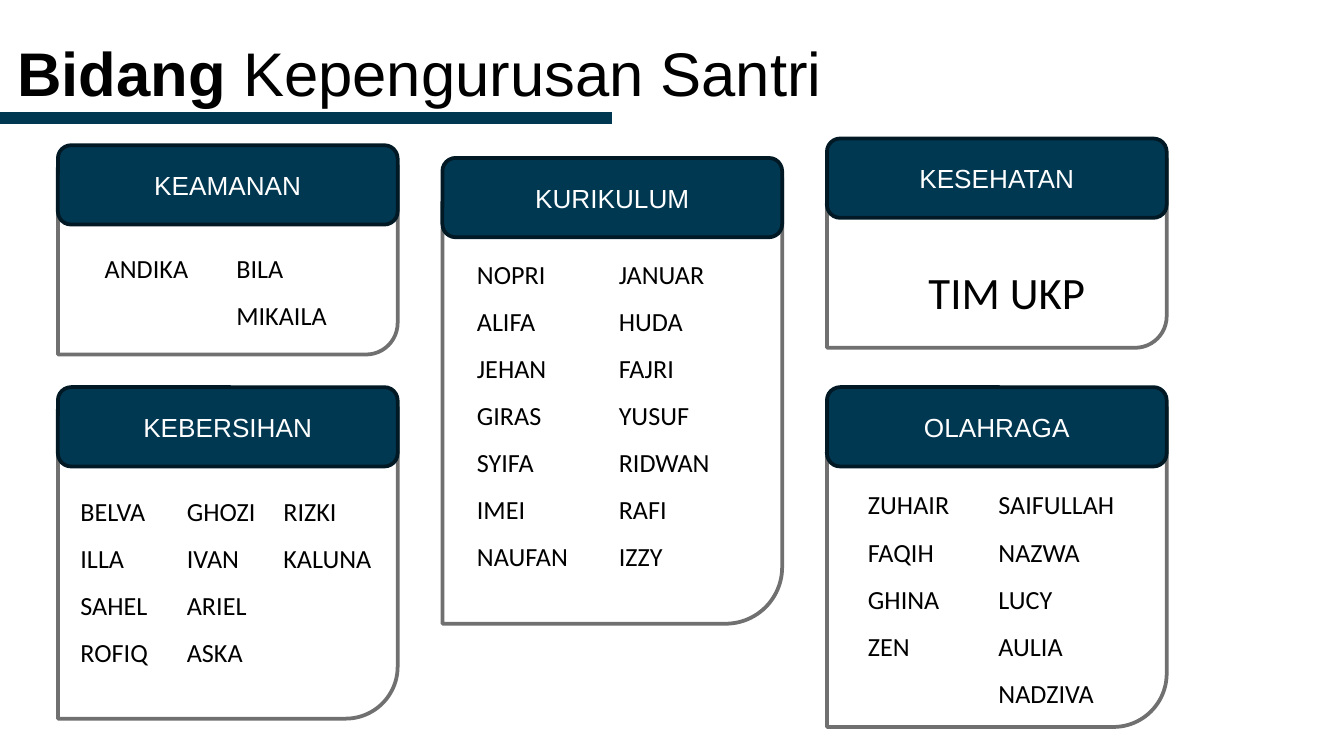
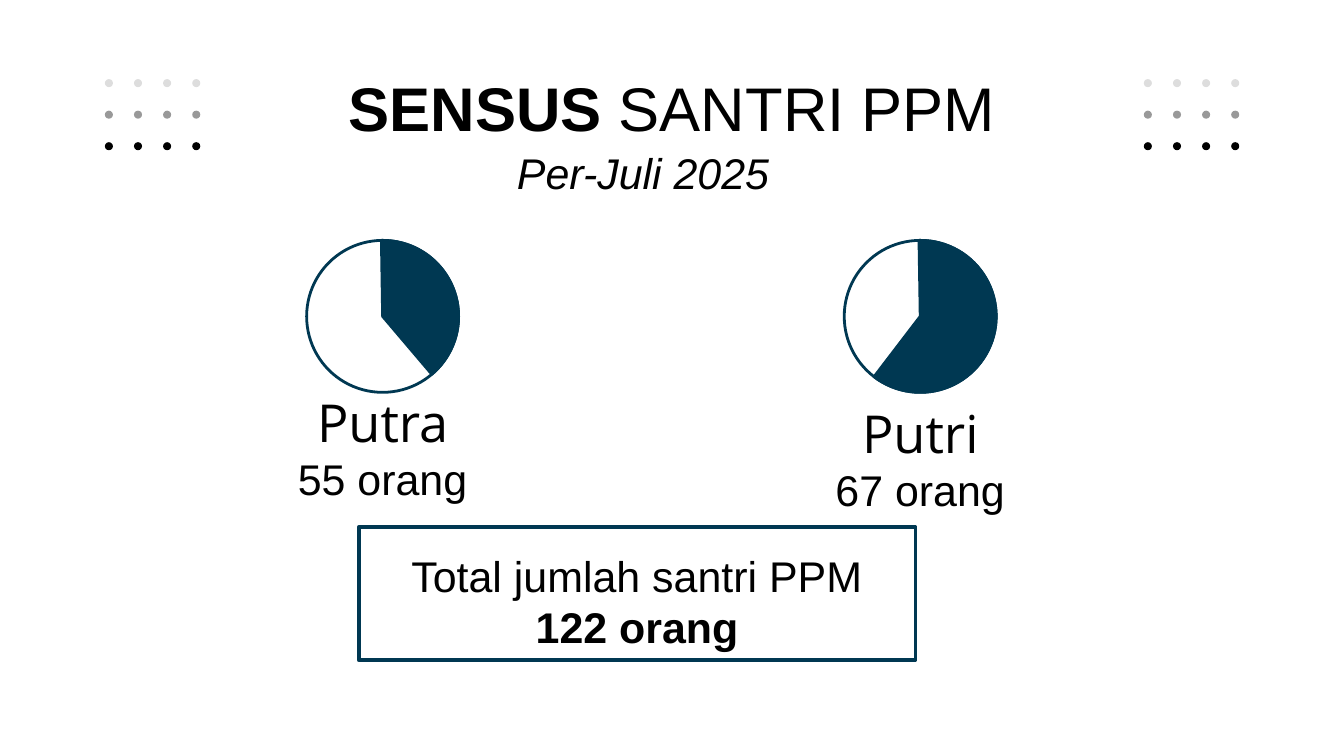
from lxml.etree import SubElement
from pptx import Presentation
from pptx.dml.color import RGBColor
from pptx.enum.shapes import MSO_CONNECTOR, MSO_SHAPE as SHAPE
from pptx.enum.text import MSO_ANCHOR as ANCHOR, MSO_AUTO_SIZE as AUTO, PP_ALIGN as ALIGN
from pptx.oxml.ns import qn
from pptx.util import Pt

# Shared look
NAVY, NAVY_EDGE, GREY = "003852", "001924", "707070"
WHITE, BLACK = "FFFFFF", "000000"
HEADING, NAMES, LABEL = "Arial", "Calibri", "Open Sans"
TITLE_SIZE, NAME_SIZE, CENSUS_SIZE = 33, 14, 23
TITLE_INSETS, CENSUS_INSETS = (7.2, 3.6, 7.2, 7.2), (7.2,) * 4

# Slide 1: heading, left, top, body height, name size, names top,
# then (left, width, names) for each column of names
DIVISIONS = [
    ("KEAMANAN", 31, 77.8, 101.5, NAME_SIZE, 123.5,
     [(49, 70, ["ANDIKA"]), (119.5, 70, ["BILA", "MIKAILA"])]),
    ("KURIKULUM", 237, 84.6, 239, NAME_SIZE, 126.5,
     [(248.4, 79, ["NOPRI", "ALIFA", "JEHAN", "GIRAS", "SYIFA", "IMEI", "NAUFAN"]),
      (324.4, 79, ["JANUAR", "HUDA", "FAJRI", "YUSUF", "RIDWAN", "RAFI", "IZZY"])]),
    ("KESEHATAN", 443, 74.2, 101.5, 24, 123.8,
     [(490.3, 123, ["TIM UKP"])]),
    ("KEBERSIHAN", 31, 207.4, 167, NAME_SIZE, 253.5,
     [(36, 70, ["BELVA", "ILLA", "SAHEL", "ROFIQ"]),
      (93, 73, ["GHOZI", "IVAN", "ARIEL", "ASKA"]),
      (144.7, 73, ["RIZKI", "KALUNA"])]),
    ("OLAHRAGA", 443, 207.4, 171.5, NAME_SIZE, 250,
     [(457.9, 91.5, ["ZUHAIR", "FAQIH", "GHINA", "ZEN"]),
      (527.8, 91.5, ["SAIFULLAH", "NAZWA", "LUCY", "AULIA", "NADZIVA"])]),
]
CARD_WIDTH, HEADER_HEIGHT, BODY_DROP = 182, 42.5, 10.6

# Slide 2: label, count, centre, label top, end of the slice in degrees
CENSUS = [
    ("Putra", "55 orang", 205, 210.2, 49.64),
    ("Putri", "67 orang", 493, 216, 127.36),
]
SLICE_START, PIE_SIZE, PIE_TOP = 269.1, 81.4, 128.8
TOTAL = ["Total jumlah santri PPM", "122 orang"]
DOT_ROWS = ["DDDDDD", "999999", "000000"]
DOT_GRID_LEFTS, DOT_TOP, DOT_SIZE = (56.2, 612.8), 42.4, 4.3
DOT_STEP_X, DOT_STEP_Y = 15.6, 16.9


def color(hex_code):
    return RGBColor.from_string(hex_code)


def style(font, size, face, hex_code=BLACK, bold=False, italic=False):
    font.size, font.name = Pt(size), face
    font.color.rgb = color(hex_code)
    font.bold, font.italic = bold, italic


def add_text(slide, box, lines, size, face, align=ALIGN.LEFT, anchor=ANCHOR.TOP,
             insets=(7.2, 3.6, 7.2, 3.6), spacing=None, italic=False):
    frame = slide.shapes.add_textbox(*map(Pt, box)).text_frame
    frame.word_wrap, frame.vertical_anchor = True, anchor
    (frame.margin_left, frame.margin_top,
     frame.margin_right, frame.margin_bottom) = map(Pt, insets)
    frame.text = "\n".join(lines)
    for paragraph in frame.paragraphs:
        paragraph.alignment, paragraph.line_spacing = align, spacing
        for run in paragraph.runs:
            style(run.font, size, face, italic=italic)
    return frame


def add_title(slide, box, strong, rest, align):
    frame = add_text(slide, box, [strong], TITLE_SIZE, HEADING, align, insets=TITLE_INSETS)
    paragraph = frame.paragraphs[0]
    paragraph.runs[0].font.bold = True
    run = paragraph.add_run()
    run.text = rest
    style(run.font, TITLE_SIZE, HEADING)


def add_figure(slide, kind, box, fill=None, line=None, weight=2):
    figure = slide.shapes.add_shape(kind, *map(Pt, box))
    figure.shadow.inherit = False
    if fill:
        figure.fill.solid()
        figure.fill.fore_color.rgb = color(fill)
    else:
        figure.fill.background()
    if line:
        figure.line.color.rgb = color(line)
        figure.line.width = Pt(weight)
    else:
        figure.line.fill.background()
    return figure


def add_division(slide, heading, left, top, body_height, size, names_top, columns):
    add_figure(slide, SHAPE.ROUND_2_DIAG_RECTANGLE,
               (left, top + BODY_DROP, CARD_WIDTH, body_height), WHITE, GREY)
    header = add_figure(slide, SHAPE.ROUNDED_RECTANGLE,
                        (left, top, CARD_WIDTH, HEADER_HEIGHT), NAVY, NAVY_EDGE)
    header.text_frame.text = heading
    header.text_frame.vertical_anchor = ANCHOR.MIDDLE
    paragraph = header.text_frame.paragraphs[0]
    paragraph.alignment = ALIGN.CENTER
    style(paragraph.runs[0].font, 14, HEADING, WHITE)
    for names_left, width, names in columns:
        height = round(1.82 * size * len(names) + 4, 1)
        frame = add_text(slide, (names_left, names_top, width, height), names,
                         size, NAMES, spacing=1.5)
        frame.auto_size = AUTO.SHAPE_TO_FIT_TEXT


def build_divisions(slide):
    add_title(slide, (2.2, 15, 545, 46), "Bidang", " Kepengurusan Santri", ALIGN.LEFT)
    rule = slide.shapes.add_connector(MSO_CONNECTOR.STRAIGHT, 0, Pt(63.2), Pt(327.6), Pt(63.2))
    rule.line.color.rgb = color(NAVY)
    rule.line.width = Pt(6)
    SubElement(rule._element.spPr, qn("a:effectLst"))
    for division in DIVISIONS:
        add_division(slide, *division)


def add_census_text(slide, box, lines, anchor=ANCHOR.BOTTOM, size=CENSUS_SIZE,
                    face=HEADING, italic=False):
    return add_text(slide, box, lines, size, face, ALIGN.CENTER, anchor,
                    CENSUS_INSETS, italic=italic)


def build_census(slide):
    add_title(slide, (56.2, 33.8, 607.6, 42), "SENSUS", " SANTRI PPM", ALIGN.CENTER)
    add_census_text(slide, (224.6, 71.3, 240, 42), ["Per-Juli 2025"], italic=True)

    # Pies with their labels and counts
    for label, count, centre, label_top, slice_end in CENSUS:
        pie_box = (centre - PIE_SIZE / 2, PIE_TOP, PIE_SIZE, PIE_SIZE)
        add_figure(slide, SHAPE.OVAL, pie_box, line=NAVY, weight=1.5)
        pie = add_figure(slide, SHAPE.PIE, pie_box, NAVY, NAVY, 1.5)
        for index, degrees in enumerate((SLICE_START, slice_end)):
            pie.adjustments[index] = degrees * 0.6
        add_census_text(slide, (centre - 46.5, label_top, 93, 31.7), [label],
                        ANCHOR.MIDDLE, 28, LABEL)
        add_census_text(slide, (centre - 120, label_top + 25, 240, 42), [count])

    # Dot grids in the upper corners
    for grid_left in DOT_GRID_LEFTS:
        for row, shade in enumerate(DOT_ROWS):
            for column in range(4):
                add_figure(slide, SHAPE.OVAL,
                           (grid_left + column * DOT_STEP_X, DOT_TOP + row * DOT_STEP_Y,
                            DOT_SIZE, DOT_SIZE), shade)

    # Framed total
    total = add_census_text(slide, (158.4, 314.6, 366, 42), TOTAL)
    total.paragraphs[1].runs[0].font.bold = True
    add_figure(slide, SHAPE.RECTANGLE, (192.2, 282.4, 298.3, 71.3), line=NAVY)


def main():
    deck = Presentation()
    deck.slide_width, deck.slide_height = Pt(720), Pt(405)
    for build in (build_divisions, build_census):
        build(deck.slides.add_slide(deck.slide_layouts[6]))
    deck.save("out.pptx")


if __name__ == "__main__":
    main()
